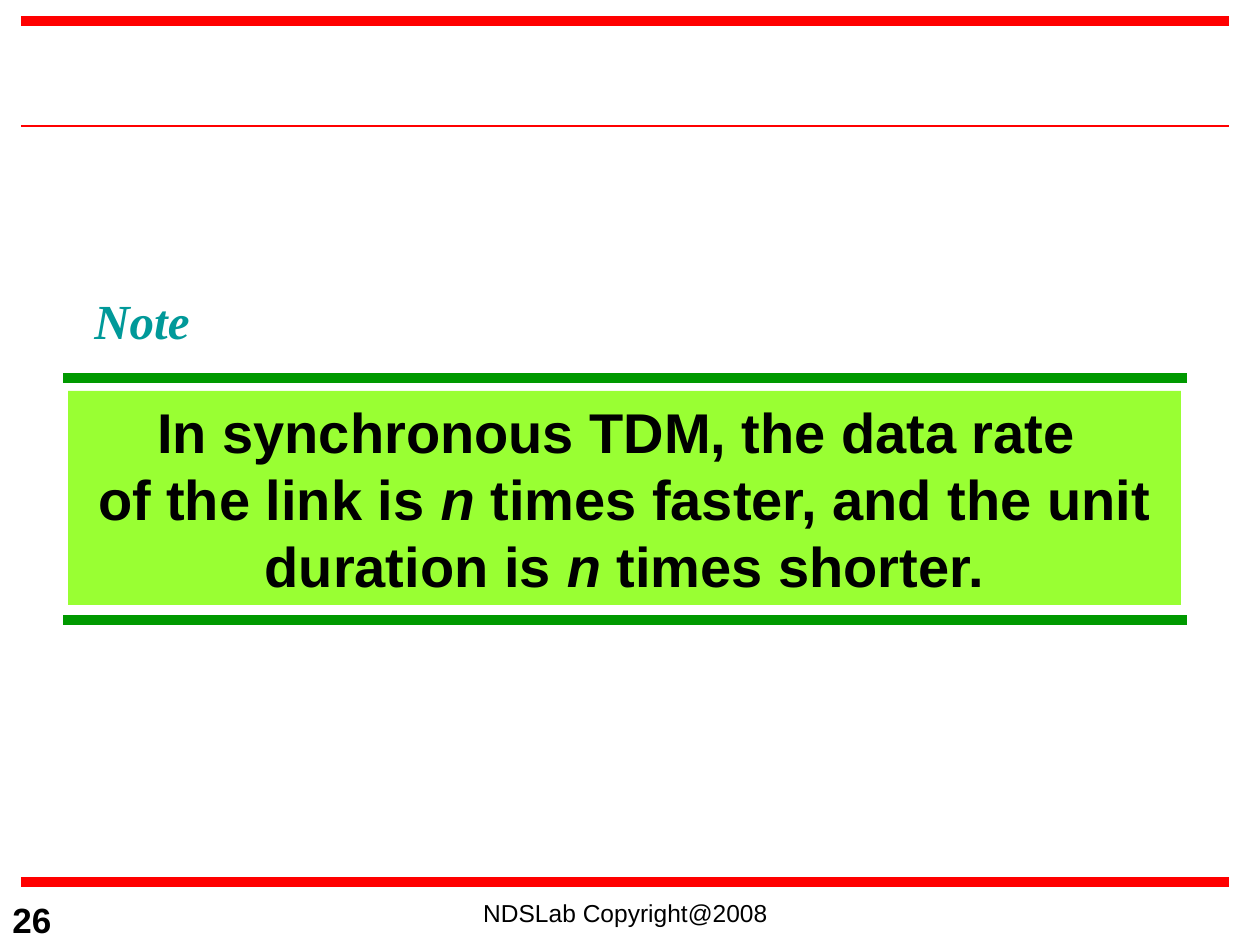
from lxml import etree
from pptx import Presentation
from pptx.dml.color import RGBColor
from pptx.enum.shapes import MSO_CONNECTOR, MSO_SHAPE
from pptx.enum.text import MSO_ANCHOR, PP_ALIGN
from pptx.oxml.ns import qn
from pptx.util import Emu, Pt

RED = RGBColor(0xFF, 0x00, 0x00)
GREEN = RGBColor(0x00, 0x99, 0x00)
LIME = RGBColor(0x99, 0xFF, 0x33)
TEAL = RGBColor(0x00, 0x99, 0x99)
BLACK = RGBColor(0x00, 0x00, 0x00)
STRAIGHT = MSO_CONNECTOR.STRAIGHT
RECT = MSO_SHAPE.RECTANGLE
TOP = MSO_ANCHOR.TOP
LEFT, CENTER = PP_ALIGN.LEFT, PP_ALIGN.CENTER
SCALE = 914400 / 126


def px(n):
    return Emu(round(n * SCALE))


class SlideBuilder:
    font = "Arial"
    color = BLACK

    def __init__(self, prs):
        self.s = prs.slides.add_slide(prs.slide_layouts[6])

    def rule(self, x1, x2, y, color, width):
        c = self.s.shapes.add_connector(STRAIGHT, px(x1), px(y), px(x2), px(y))
        c.line.color.rgb = color
        c.line.width = Pt(width)
        etree.SubElement(c._element.spPr, qn("a:effectLst"))

    def add_text(self, sp, lines, size, align=LEFT, bold=False, font=None, color=None, wrap=True):
        tf = sp.text_frame
        tf.word_wrap = wrap
        tf.vertical_anchor = TOP
        p = tf.paragraphs[0]
        p.alignment = align
        for i, line in enumerate(lines):
            if i:
                p.add_line_break()
            for text, italic in line:
                r = p.add_run()
                r.text = text
                r.font.name = font or self.font
                r.font.size = Pt(size)
                r.font.bold = bold
                r.font.italic = italic
                r.font.color.rgb = color or self.color

    def label(self, x, y, w, h, text, size, italic=False, **style):
        sp = self.s.shapes.add_textbox(px(x), px(y), px(w), px(h))
        self.add_text(sp, [[(text, italic)]], size, **style)

    def panel(self, x, y, w, h, fill, lines, size, **style):
        sp = self.s.shapes.add_shape(RECT, px(x), px(y), px(w), px(h))
        sp.shadow.inherit = False
        sp.fill.solid()
        sp.fill.fore_color.rgb = fill
        sp.line.fill.background()
        self.add_text(sp, lines, size, **style)


def main():
    prs = Presentation()
    prs.slide_width, prs.slide_height = px(1260), px(945)
    s = SlideBuilder(prs)

    for y, width in ((21, 6), (882, 6), (126, 1.5)):
        s.rule(21, 1229, y, RED, width)
    s.label(347, 892, 557, 53, "NDSLab Copyright@2008", 14, align=CENTER)
    s.label(0, 892, 315, 53, "26", 20, bold=True)

    for y in (378, 620):
        s.rule(63, 1187, y, GREEN, 6)
    statement = [
        [("In synchronous TDM, the data rate ", False)],
        [
            ("of the link is ", False),
            ("n", True),
            (" times faster, and the unit duration is ", False),
            ("n", True),
            (" times shorter.", False),
        ],
    ]
    s.panel(68, 391, 1113, 214, LIME, statement, 32, align=CENTER, bold=True)
    s.label(82, 284, 121, 72, "Note", 28, italic=True, bold=True,
            font="Times New Roman", color=TEAL, wrap=False)

    prs.save("out.pptx")


if __name__ == "__main__":
    main()
